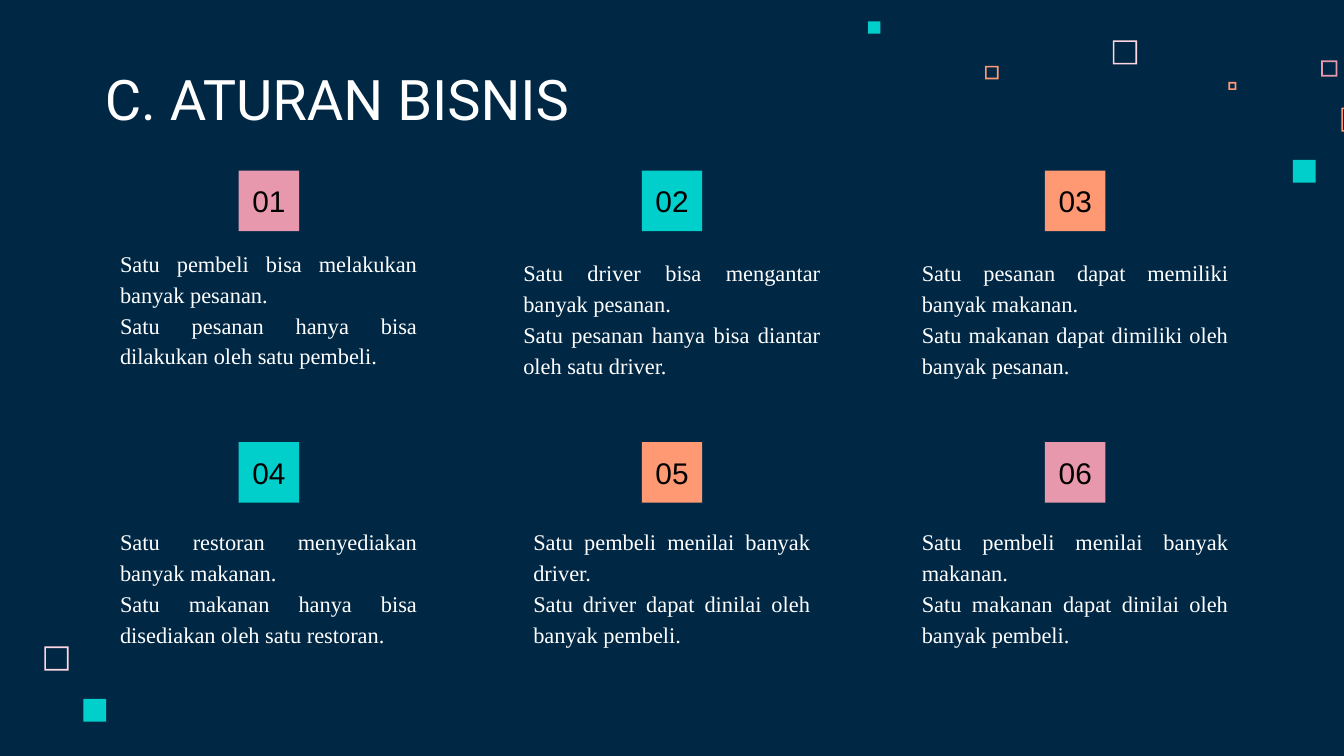
import pptx
import pptx.util
import pptx.dml.color
import pptx.enum.shapes
import pptx.enum.text

Inches = pptx.util.Inches
Shape = pptx.enum.shapes.MSO_SHAPE
Align = pptx.enum.text.PP_ALIGN
Anchor = pptx.enum.text.MSO_ANCHOR

# Content
TITLE = "C. ATURAN BISNIS"
# Each rule: text width, top of text, two sentences
RULES = [
    (2.41, 1.73, ["Satu pembeli bisa melakukan banyak pesanan.",
                  "Satu pesanan hanya bisa dilakukan oleh satu pembeli."]),
    (2.41, 1.8, ["Satu driver bisa mengantar banyak pesanan.",
                 "Satu pesanan hanya bisa diantar oleh satu driver."]),
    (2.48, 1.8, ["Satu pesanan dapat memiliki banyak makanan.",
                 "Satu makanan dapat dimiliki oleh banyak pesanan."]),
    (2.41, 3.8, ["Satu restoran menyediakan banyak makanan.",
                 "Satu makanan hanya bisa disediakan oleh satu restoran."]),
    (2.26, 3.8, ["Satu pembeli menilai banyak driver.",
                 "Satu driver dapat dinilai oleh banyak pembeli."]),
    (2.48, 3.8, ["Satu pembeli menilai banyak makanan.",
                 "Satu makanan dapat dinilai oleh banyak pembeli."]),
]
# Small squares: left, top, size, colour
FRAMES = [
    (8.28, 0.3, 0.18, "blush"), (9.83, 0.45, 0.12, "pink"),
    (9.14, 0.61, 0.06, "orange"), (9.98, 0.8, 0.18, "orange"),
    (7.33, 0.49, 0.1, "orange"), (0.33, 4.81, 0.18, "blush"),
]
BLOCKS = [(9.62, 1.19, 0.17, "teal"), (6.46, 0.16, 0.09, "teal"),
          (0.62, 5.2, 0.17, "teal")]

THEME = {
    "navy": "002845", "white": "FFFFFF", "black": "000000",
    "pink": "E898AC", "teal": "00CFCC", "orange": "FF9973",
    "blush": "FFD6E1",
    "title": ("Roboto", 30, "white"),
    "body": ("Times New Roman", 12, "white"),
    "badge": ("Arial", 16, "black"),
}
CYCLE = ["pink", "teal", "orange"]

# Grid
WIDTH = 10
HEIGHT = WIDTH * 9 / 16
COLS = 3
MID, STEP = 2.0, 3.0
BADGE_TOP, ROW_STEP, BADGE = 1.27, 2.02, 0.45
EDGE = 0.9 / 72


def color(name):
    return pptx.dml.color.RGBColor.from_string(THEME[name])


def write(frame, lines, style, align, anchor, space=1.0):
    face, size, ink = THEME[style]
    frame.text = "\n".join(lines)
    frame.word_wrap = True
    frame.auto_size = pptx.enum.text.MSO_AUTO_SIZE.NONE
    frame.vertical_anchor = anchor
    frame.margin_left = frame.margin_right = Inches(0.1)
    frame.margin_top = frame.margin_bottom = Inches(0.1)
    for para in frame.paragraphs:
        para.alignment = align
        para.line_spacing = space
        for run in para.runs:
            run.font.name = face
            run.font.size = pptx.util.Pt(size)
            run.font.color.rgb = color(ink)


def square(slide, kind, left, top, size, fill):
    shape = slide.shapes.add_shape(kind, Inches(left), Inches(top),
                                   Inches(size), Inches(size))
    shape.shadow.inherit = False
    shape.fill.solid()
    shape.fill.fore_color.rgb = color(fill)
    shape.line.fill.background()
    return shape


def main():
    deck = pptx.Presentation()
    deck.slide_width, deck.slide_height = Inches(WIDTH), Inches(HEIGHT)
    slide = deck.slides.add_slide(deck.slide_layouts[5])
    slide.background.fill.solid()
    slide.background.fill.fore_color.rgb = color("navy")

    # Decoration
    for left, top, size, fill in FRAMES:
        ring = square(slide, Shape.FRAME, left, top, size, fill)
        ring.adjustments[0] = EDGE / size
    for block in BLOCKS:
        square(slide, Shape.RECTANGLE, *block)

    # Title
    title = slide.shapes.title
    title.left, title.top = Inches(0.68), Inches(0.45)
    title.width, title.height = Inches(5.17), Inches(0.63)
    write(title.text_frame, [TITLE], "title", Align.LEFT, Anchor.BOTTOM)

    # Rules with numbered badges
    for i, (width, top, lines) in enumerate(RULES):
        row, col = divmod(i, COLS)
        mid = MID + col * STEP
        box = slide.shapes.add_textbox(Inches(mid - width / 2), Inches(top),
                                       Inches(width), Inches(0.9))
        write(box.text_frame, lines, "body", Align.JUSTIFY, Anchor.TOP, 1.15)
        badge = square(slide, Shape.RECTANGLE, mid - BADGE / 2,
                       BADGE_TOP + row * ROW_STEP, BADGE,
                       CYCLE[(row + col) % len(CYCLE)])
        write(badge.text_frame, [f"{i + 1:02d}"], "badge",
              Align.CENTER, Anchor.MIDDLE)

    deck.save("out.pptx")


if __name__ == "__main__":
    main()
